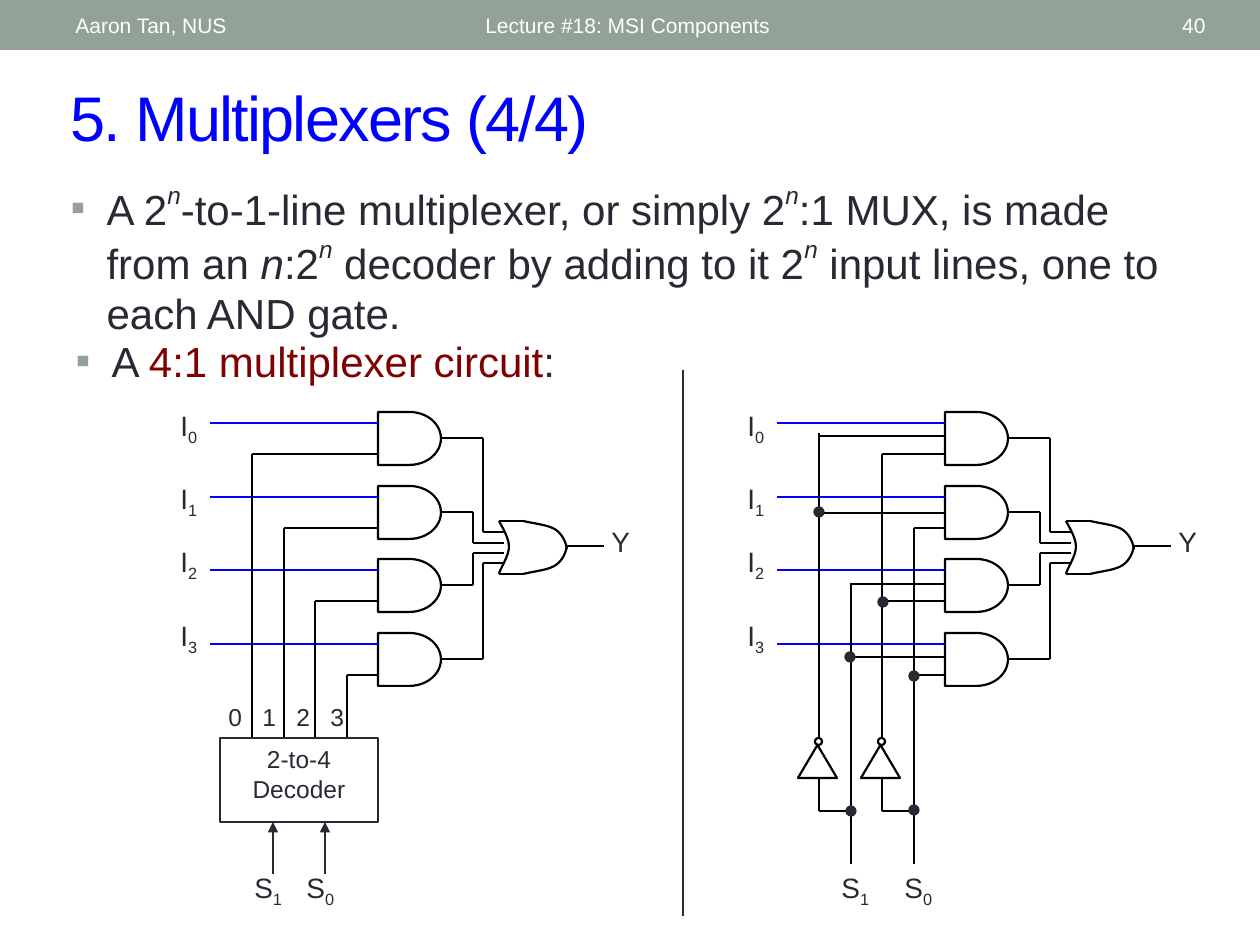
from dataclasses import dataclass
from itertools import pairwise
from typing import NamedTuple

from lxml import etree
from pptx import Presentation
from pptx import util as u
from pptx.dml.color import RGBColor
from pptx.enum import shapes as sh, text as tx
from pptx.oxml import ns

SCALE = 914400 / 126


@dataclass(frozen=True)
class Theme:
    font: str = "Arial"
    ink: str = "292934"
    wire: str = "000000"
    data: str = "0000FF"
    accent: str = "800000"
    sage: str = "93A299"
    white: str = "FFFFFF"
    title: int = 36
    body: int = 24
    label: int = 16
    decoder: int = 14
    header: int = 12
    thin: float = 0.75
    line: float = 1.25
    box: float = 1.5


T = Theme()


class Box(NamedTuple):
    x: int
    y: int
    w: int
    h: int


class Span(NamedTuple):
    text: str
    color: str = T.ink
    italic: bool = False
    base: int = 0


class Point(NamedTuple):
    x: int
    y: int


MIDDLE = tx.MSO_ANCHOR.MIDDLE
LEFT, CENTER, RIGHT = tx.PP_ALIGN.LEFT, tx.PP_ALIGN.CENTER, tx.PP_ALIGN.RIGHT
RIGHT_CIRCUIT = 567
GATE_TOPS = [412 + (147 * i + 1) // 2 for i in range(4)]
SELECT_YS = [top + 42 for top in GATE_TOPS]


def px(n: int) -> u.Emu:
    return u.Emu(round(n * SCALE))


def sub(parent, tag: str, **attrs: str):
    return etree.SubElement(parent, ns.qn(tag), attrs)


def write(shape, spans: list[Span], size: int, align=LEFT, anchor=tx.MSO_ANCHOR.TOP, bullet=False, tab=0):
    frame = shape.text_frame
    frame.word_wrap = True
    frame.auto_size = tx.MSO_AUTO_SIZE.NONE
    frame.vertical_anchor = anchor
    paragraph = frame.paragraphs[0]
    props = paragraph._p.get_or_add_pPr()
    if bullet:
        props.set("marL", str(px(36)))
        props.set("indent", str(px(-36)))
        sub(sub(props, "a:buClr"), "a:srgbClr", val=T.sage)
        sub(props, "a:buFont", typeface=T.font)
        sub(props, "a:buChar", char="▪")
    if tab:
        stops = sub(props, "a:tabLst")
        for i in range(1, 4):
            sub(stops, "a:tab", pos=str(px(tab * i)), algn="l")
    paragraph.alignment = align
    paragraph.space_before = u.Pt(0)
    for span in spans:
        run = paragraph.add_run()
        run.text = span.text
        run.font.name = T.font
        run.font.size = u.Pt(size)
        run.font.italic = span.italic
        run.font.color.rgb = RGBColor.from_string(span.color)
        if span.base:
            run.font._element.set("baseline", str(span.base * 1000))


def place(shape, box: Box):
    shape.left, shape.top, shape.width, shape.height = map(px, box)
    return shape


def label(slide, box: Box, spans: list[Span], size: int = T.label, **layout):
    write(slide.shapes.add_textbox(*map(px, box)), spans, size, **layout)


def indexed(slide, x: int, y: int, letter: str, index: int, width: int = 53):
    label(slide, Box(x, y, width, 47), [Span(letter), Span(str(index), base=-25)])


def paint(shape, color: str | None, width: float, fill: str | None = None):
    shape.shadow.inherit = False
    if fill:
        shape.fill.solid()
        shape.fill.fore_color.rgb = RGBColor.from_string(fill)
    else:
        shape.fill.background()
    if color:
        shape.line.color.rgb = RGBColor.from_string(color)
        shape.line.width = u.Pt(width)
    else:
        shape.line.fill.background()
    return shape


def preset(slide, kind, box: Box, color: str | None = T.wire, width: float = T.line, fill: str | None = None):
    return paint(slide.shapes.add_shape(kind, *map(px, box)), color, width, fill)


def wire(slide, *points: tuple[int, int], dx: int = 0, color: str = T.wire, width: float = T.line, arrow=False):
    for (x1, y1), (x2, y2) in pairwise(points):
        part = slide.shapes.add_connector(
            sh.MSO_CONNECTOR.STRAIGHT, px(x1 + dx), px(y1), px(x2 + dx), px(y2))
        part.line.color.rgb = RGBColor.from_string(color)
        part.line.width = u.Pt(width)
        if arrow:
            sub(part.line._get_or_add_ln(), "a:tailEnd", type="triangle")
        sub(part._element.spPr, "a:effectLst")


def curve(slide, dx: int, *controls: tuple[int, int]):
    points = [(px(x + dx), px(y)) for x, y in controls]
    builder = slide.shapes.build_freeform(*points[0])
    builder.add_line_segments(points[1:], close=False)
    shape = paint(builder.convert_to_shape(), T.wire, T.line)
    segments = list(shape._element.iter(ns.qn("a:lnTo")))
    outline = segments[0].getparent()
    for start in range(0, len(segments), 3):
        bezier = sub(outline, "a:cubicBezTo")
        for segment in segments[start:start + 3]:
            bezier.append(segment[0])
            outline.remove(segment)


def or_gate(slide, dx: int):
    curve(slide, dx, (499, 521), (504, 530), (509, 539), (509, 547),
          (509, 556), (500, 569), (499, 574))
    wire(slide, (499, 521), (523, 521), dx=dx)
    wire(slide, (499, 574), (523, 574), dx=dx)
    curve(slide, dx, (523, 521), (536, 524), (549, 525), (556, 530), (563, 535), (566, 543), (567, 549))
    curve(slide, dx, (523, 574), (536, 571), (549, 570), (556, 565), (563, 560), (566, 552), (567, 546))
    wire(slide, (567, 546), (604, 546), dx=dx)
    label(slide, Box(599 + dx, 518, 53, 47), [Span("Y")])


def and_or_stage(slide, dx: int):
    pins = zip(GATE_TOPS, (483, 473, 473, 483), (532, 543, 553, 563), (402, 475, 538, 612))
    for i, (top, bend, pin, label_y) in enumerate(pins):
        preset(slide, sh.MSO_SHAPE.FLOWCHART_DELAY, Box(378 + dx, top, 63, 53))
        wire(slide, (210, top + 11), (378, top + 11), dx=dx, color=T.data)
        wire(slide, (441, top + 26), (bend, top + 26), (bend, pin), (504, pin), dx=dx)
        indexed(slide, 168 + dx, label_y, "I", i)
    or_gate(slide, dx)


def decoder_select(slide):
    for x, y in zip((252, 284, 315, 347), SELECT_YS):
        wire(slide, (378, y), (x, y), (x, 738))
    preset(slide, sh.MSO_SHAPE.RECTANGLE, Box(220, 738, 158, 84), T.ink, T.box)
    label(slide, Box(231, 738, 136, 72), [Span("2-to-4 Decoder")], T.decoder, align=CENTER)
    label(slide, Box(216, 696, 148, 42), [Span("0\t1\t2\t3")], T.decoder, tab=34)
    for index, x, label_x in ((1, 273, 242), (0, 325, 294)):
        wire(slide, (x, 874), (x, 822), color=T.ink, arrow=True)
        indexed(slide, label_x, 864, "S", index, 66)


def inverter_select(slide):
    for index, inverted, direct, top, direct_top in ((1, 819, 851, 433, 583), (0, 882, 914, 454, 528)):
        wire(slide, (inverted, top), (inverted, 738))
        wire(slide, (direct, direct_top), (direct, 864))
        wire(slide, (inverted, 777), (inverted, 811), (direct, 811))
        for kind, box in ((sh.MSO_SHAPE.FLOWCHART_MERGE, Box(inverted - 21, 745, 39, 33)),
                          (sh.MSO_SHAPE.OVAL, Box(inverted - 4, 738, 7, 7))):
            preset(slide, kind, box)._element.spPr.xfrm.set("flipV", "1")
        indexed(slide, direct - 22, 864, "S", index, 66)
    taps = [*zip((819, 819, 851, 851), (436, 513, 584, 657)), *zip((882, 914, 882, 914), SELECT_YS)]
    for x, y in taps:
        wire(slide, (x, y), (945, y))
    for joint in (Point(819, 512), Point(850, 657), Point(883, 602),
                  Point(914, 676), Point(851, 811), Point(914, 810)):
        preset(slide, sh.MSO_SHAPE.OVAL, Box(joint.x - 5, joint.y - 5, 10, 10), T.ink, T.thin, T.ink)


def main():
    deck = Presentation()
    deck.slide_width, deck.slide_height = px(1260), px(945)
    slide = deck.slides.add_slide(deck.slide_layouts[3])
    title, definition, example = slide.placeholders

    preset(slide, sh.MSO_SHAPE.RECTANGLE, Box(0, 0, 1260, 50), None, 0, T.sage)
    for text, x, w, align in (("Aaron Tan, NUS", 63, 399, LEFT),
                              ("Lecture #18: MSI Components", 473, 567, LEFT),
                              ("40", 1099, 119, RIGHT)):
        label(slide, Box(x, 3, w, 45), [Span(text, T.white)], T.header, align=align, anchor=MIDDLE)

    write(place(title, Box(58, 72, 1160, 88)), [Span("5. Multiplexers (4/4)", T.data)], T.title, anchor=MIDDLE)
    title.text_frame.paragraphs[0].runs[0].font._element.set("spc", "-100")
    power = Span("n", italic=True, base=50)
    write(place(definition, Box(58, 174, 1134, 152)), [
        Span("A 2"), power, Span("-to-1-line multiplexer, or simply 2"), power,
        Span(":1 MUX, is made from an "), Span("n", italic=True), Span(":2"), power,
        Span(" decoder by adding to it 2"), power, Span(" input lines, one to each AND gate."),
    ], T.body, bullet=True)
    write(place(example, Box(63, 329, 1134, 64)),
          [Span("A "), Span("4:1 multiplexer circuit", T.accent), Span(":")], T.body, bullet=True)

    for dx in (0, RIGHT_CIRCUIT):
        and_or_stage(slide, dx)
    decoder_select(slide)
    inverter_select(slide)
    wire(slide, (683, 370), (683, 916), color=T.ink, width=T.thin)
    deck.save("out.pptx")


if __name__ == "__main__":
    main()
